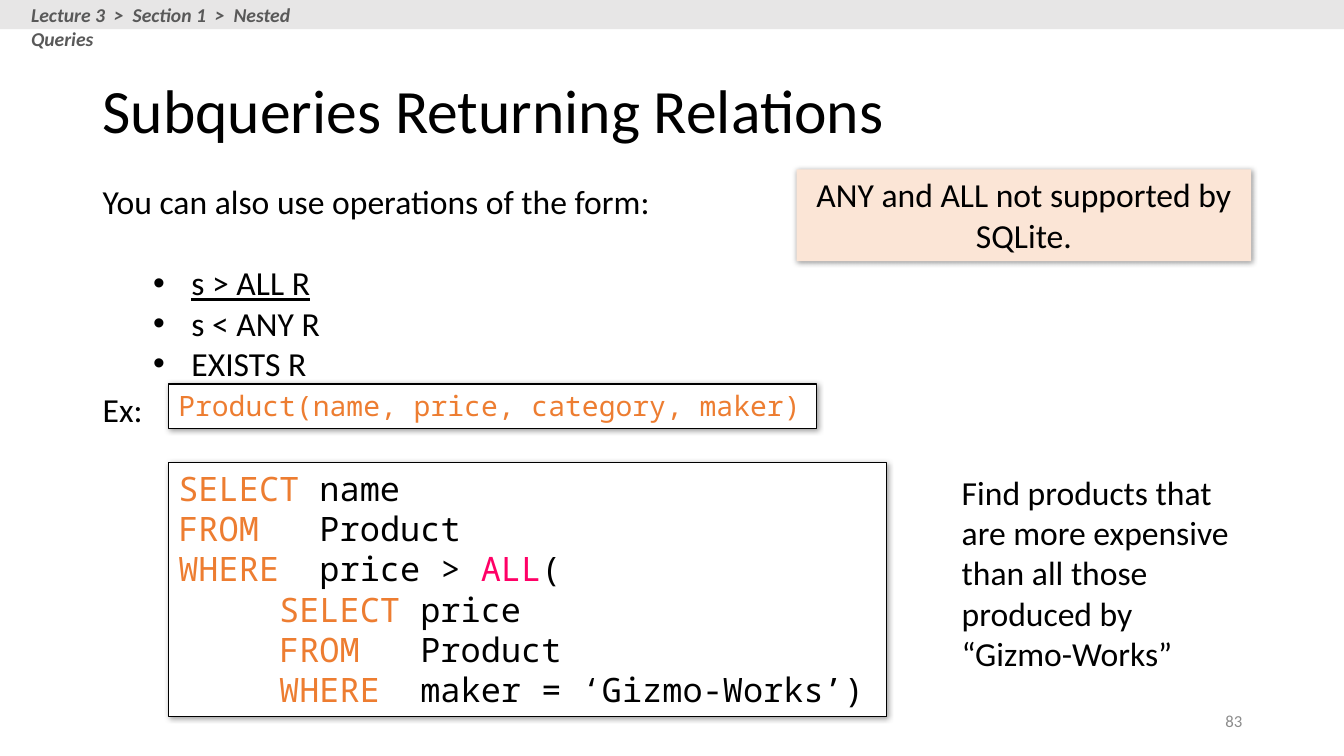
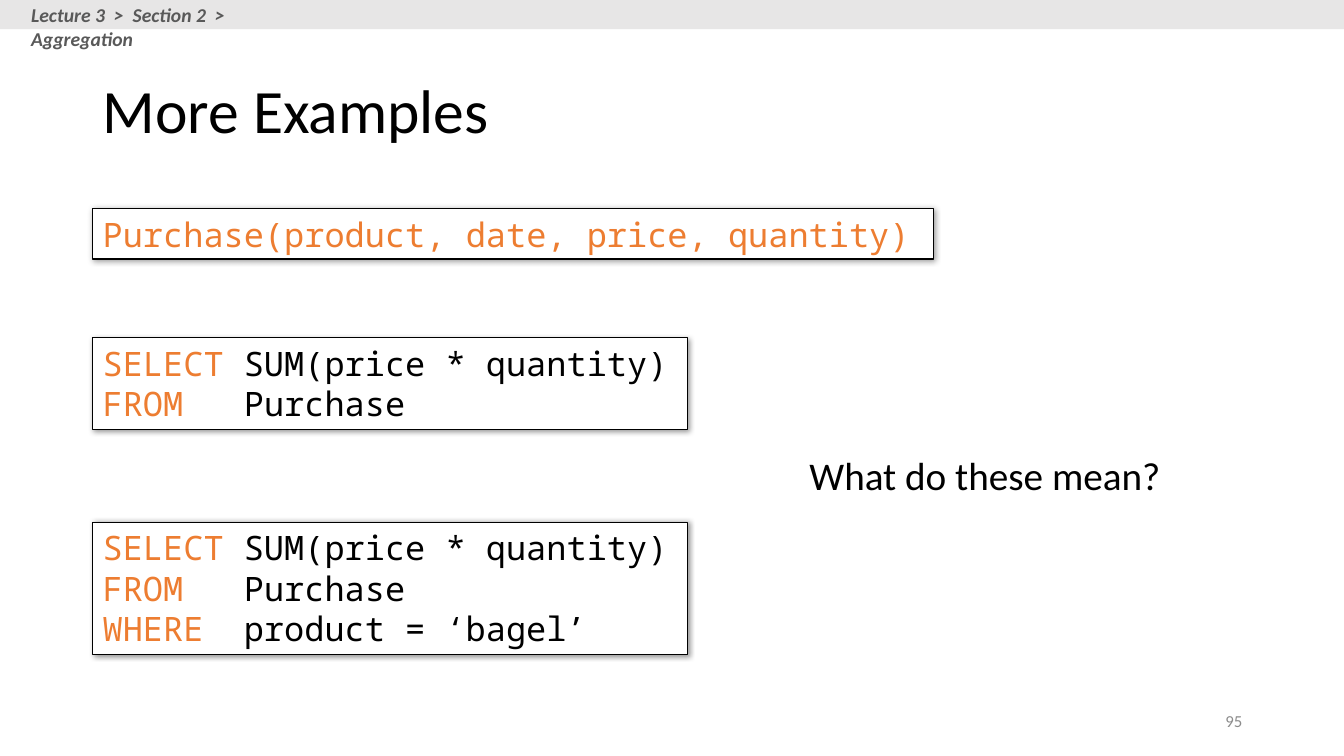
"""Build two lecture slides on SQL subqueries and aggregation."""
from itertools import groupby

from lxml.etree import SubElement
from pptx import Presentation
from pptx.dml.color import RGBColor
from pptx.enum.shapes import MSO_SHAPE as SHAPE
from pptx.enum.text import MSO_ANCHOR as ANCHOR, PP_ALIGN as ALIGN
from pptx.oxml.ns import qn
from pptx.util import Inches, Pt

THEME = {
    "font": "Calibri", "mono": "Noto Sans Mono",
    "ink": "000000", "paper": "FFFFFF", "band": "E7E6E6", "crumb": "595959",
    "number": "8C8C8C", "note": "FBE5D6", "keyword": "ED7D31", "operator": "FF0066",
    "title_size": 44, "question_size": 28, "body_size": 24,
    "schema_size": 20, "crumb_size": 14, "number_size": 12,
}
KEYWORDS = {"SELECT": "keyword", "FROM": "keyword", "WHERE": "keyword", "ALL": "operator"}

SLIDES = [
    {
        "crumbs": ["Lecture 3", "Section 1", "Nested Queries"],
        "title": "Subqueries Returning Relations",
        "number": "83",
        "texts": [
            ((0.92, 1.75, 5.72, 2.12), "You can also use operations of the form:", "body_size",
             ["s > ALL R", "s < ANY R", "EXISTS R"]),
            ((9.44, 4.63, 2.95, 2.12), "Find products that are more expensive than all those "
             "produced by “Gizmo-Works”", "body_size", []),
            ((0.92, 3.81, 0.7, 0.5), "Ex:", "body_size", []),
        ],
        "underlined": "s > ALL R",
        "note": ((7.9, 1.68, 4.51, 0.91), "ANY and ALL not supported by SQLite."),
        "schema": ((1.67, 3.81, 6.43, 0.44), "Product(name, price, category, maker)", "schema_size"),
        "queries": [
            ((1.67, 4.59, 7.12, 2.52), [
                "SELECT name",
                "FROM   Product",
                "WHERE  price > ALL(",
                "     SELECT price",
                "     FROM   Product",
                "     WHERE  maker = ‘Gizmo-Works’)",
            ]),
        ],
    },
    {
        "crumbs": ["Lecture 3", "Section 2", "Aggregation"],
        "title": "More Examples",
        "number": "95",
        "texts": [((7.93, 4.43, 3.8, 0.57), "What do these mean?", "question_size", [])],
        "schema": ((0.92, 2.07, 8.34, 0.5), "Purchase(product, date, price, quantity)", "body_size"),
        "queries": [
            ((0.92, 3.35, 5.9, 0.91), ["SELECT SUM(price * quantity)", "FROM   Purchase"]),
            ((0.92, 5.18, 5.9, 1.31), ["SELECT SUM(price * quantity)", "FROM   Purchase",
                                      "WHERE  product = ‘bagel’"]),
        ],
    },
]


def add_run(p, text, size, color="ink", font="font", **formats):
    r = p.add_run()
    r.text = text
    r.font.color.rgb = RGBColor.from_string(THEME[color])
    values = {"name": THEME[font], "size": Pt(THEME[size]), **formats}
    for name, value in values.items():
        setattr(r.font, name, value)


def add_text(s, box, anchor=ANCHOR.TOP):
    tf = s.shapes.add_textbox(*map(Inches, box)).text_frame
    tf.word_wrap, tf.vertical_anchor = True, anchor
    return tf


def add_shadow(sp):
    effects = sp._element.spPr.find(qn("a:effectLst"))
    shadow = SubElement(effects, qn("a:outerShdw"), blurRad=str(Pt(4)), dist=str(Pt(1)),
                        dir="2700000", algn="tl", rotWithShape="0")
    color = SubElement(shadow, qn("a:srgbClr"), val=THEME["ink"])
    SubElement(color, qn("a:alpha"), val="40000")


def add_panel(s, box, fill, outlined=False, shadowed=True):
    sp = s.shapes.add_shape(SHAPE.RECTANGLE, *map(Inches, box))
    sp.shadow.inherit = False
    sp.fill.solid()
    sp.fill.fore_color.rgb = RGBColor.from_string(THEME[fill])
    if outlined:
        sp.line.color.rgb = RGBColor.from_string(THEME["ink"])
        sp.line.width = Pt(0.75)
    else:
        sp.line.fill.background()
    if shadowed:
        add_shadow(sp)
    tf = sp.text_frame
    tf.word_wrap, tf.vertical_anchor = True, ANCHOR.TOP
    tf.paragraphs[0].alignment = ALIGN.LEFT
    return tf


def next_paragraph(tf, first):
    p = tf.paragraphs[0] if first else tf.add_paragraph()
    p.alignment = ALIGN.LEFT
    return p


def color_runs(line):
    words = ["".join(chars) for _, chars in groupby(line, str.isalpha)]
    for color, group in groupby(words, lambda word: KEYWORDS.get(word, "ink")):
        yield "".join(group), color


def add_query(s, box, lines):
    tf = add_panel(s, box, "paper", outlined=True)
    for i, line in enumerate(lines):
        p = next_paragraph(tf, i == 0)
        for text, color in color_runs(line):
            add_run(p, text, "body_size", color, "mono")


def add_bullets(tf, bullets, underlined):
    for i, bullet in enumerate(bullets):
        p = tf.add_paragraph()
        p.level = 1
        if i == 0:
            p.space_before = Pt(29)
        pPr = p._p.get_or_add_pPr()
        pPr.set("marL", str(Inches(0.88)))
        pPr.set("indent", str(Inches(-0.38)))
        SubElement(pPr, qn("a:buFont"), typeface="Arial")
        SubElement(pPr, qn("a:buChar"), char="•")
        add_run(p, bullet, "body_size", underline=bullet == underlined)


def add_frame(s, content):
    add_panel(s, (0, 0, 13.33, 0.29), "band", shadowed=False)
    p = add_text(s, (0.21, -0.02, 3.17, 0.34)).paragraphs[0]
    add_run(p, "  >  ".join(content["crumbs"]), "crumb_size", "crumb", bold=True, italic=True)
    p = add_text(s, (0.92, 0.4, 11.5, 1.45), ANCHOR.MIDDLE).paragraphs[0]
    p.line_spacing = 0.9
    add_run(p, content["title"], "title_size")
    p = add_text(s, (9.42, 6.95, 3, 0.4), ANCHOR.MIDDLE).paragraphs[0]
    p.alignment = ALIGN.RIGHT
    add_run(p, content["number"], "number_size", "number")


def add_slide(prs, content):
    s = prs.slides.add_slide(prs.slide_layouts[6])
    add_frame(s, content)
    for box, text, size, bullets in content["texts"]:
        tf = add_text(s, box)
        add_run(tf.paragraphs[0], text, size)
        add_bullets(tf, bullets, content.get("underlined"))
    for box, lines in content["queries"]:
        add_query(s, box, lines)
    box, text, size = content["schema"]
    p = add_panel(s, box, "paper", outlined=True).paragraphs[0]
    add_run(p, text, size, "keyword", "mono")
    if "note" in content:
        box, text = content["note"]
        p = add_panel(s, box, "note").paragraphs[0]
        p.alignment = ALIGN.CENTER
        add_run(p, text, "body_size")


def main():
    prs = Presentation()
    prs.slide_width, prs.slide_height = Inches(13.33), Inches(7.5)
    for content in SLIDES:
        add_slide(prs, content)
    prs.save("out.pptx")


if __name__ == "__main__":
    main()
